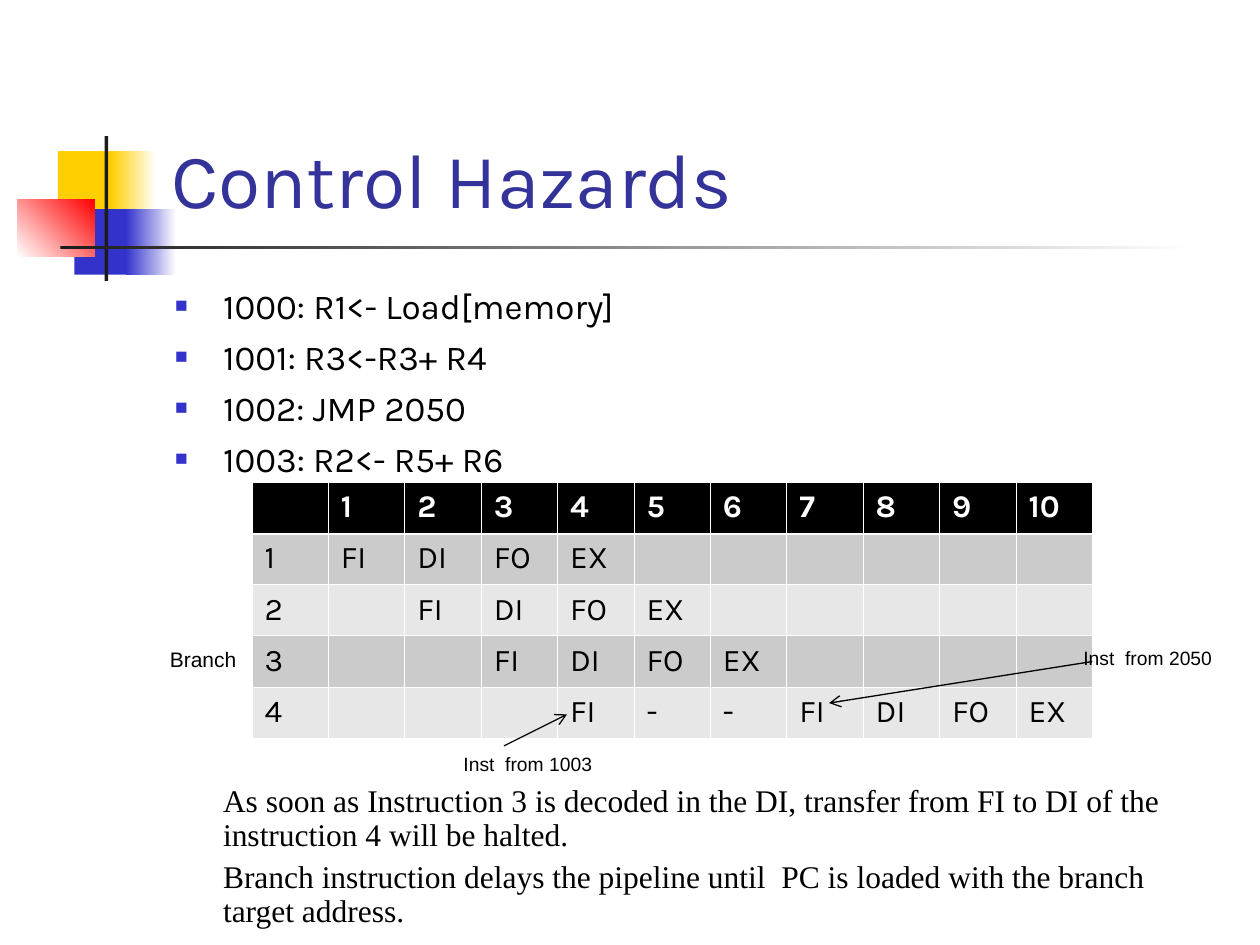
from lxml import etree
from pptx import Presentation
from pptx.dml.color import RGBColor
from pptx.enum.shapes import MSO_CONNECTOR, MSO_SHAPE
from pptx.enum.text import MSO_ANCHOR, MSO_AUTO_SIZE, PP_ALIGN
from pptx.oxml.ns import qn
from pptx.util import Inches, Pt

RECTANGLE = MSO_SHAPE.RECTANGLE
STRAIGHT = MSO_CONNECTOR.STRAIGHT
BOTTOM, TOP = MSO_ANCHOR.BOTTOM, MSO_ANCHOR.TOP
NO_AUTOFIT = MSO_AUTO_SIZE.NONE
LEFT = PP_ALIGN.LEFT

COLORS = {
    "yellow": "FFCF01", "blue": "3333CC", "red": "FF0000", "dark": "1C1C1C",
    "title": "333399", "white": "FFFFFF", "black": "000000",
    "odd_row": "CBCBCB", "even_row": "E7E7E7",
}
HEADING_FONT, NOTE_FONT, LABEL_FONT = "Karla", "Times New Roman", "Arial"

TITLE = "Control Hazards"
INSTRUCTIONS = [
    "1000: R1<- Load[memory]",
    "1001: R3<-R3+ R4",
    "1002: JMP 2050",
    "1003: R2<- R5+ R6",
]
NOTES = [
    "As soon as Instruction 3 is decoded in the DI, transfer from FI to DI of the instruction 4 will be halted.",
    "Branch instruction delays the pipeline until  PC is loaded with the branch target address.",
]
CYCLES = 10
STAGES = ["FI", "DI", "FO", "EX"]
PIPELINE = [
    (1, STAGES),
    (2, STAGES),
    (3, STAGES),
    (4, ["FI", "-", "-"] + STAGES),
]
LABELS = [
    ("Branch", 12, (1.25, 5.08, 0.83, 0.3)),
    ("Inst  from 2050", 11, (8.5, 5.08, 1.25, 0.29)),
    ("Inst  from 1003", 11, (3.58, 5.92, 1.25, 0.29)),
]
ARROWS = [((8.67, 5.25), (6.58, 5.58)), ((4, 5.92), (4.5, 5.67))]
DECORATION = [
    ((0.46, 1.2, 0.48, 0.52), ["yellow"], 0),
    ((0.88, 1.2, 0.36, 0.52), ["yellow", "white"], 0),
    ((0.59, 1.66, 0.46, 0.52), ["blue"], 0),
    ((1, 1.66, 0.4, 0.52), ["blue", "white"], 0),
    ((0.14, 1.58, 0.61, 0.46), ["white", "red"], 45),
    ((0.83, 1.08, 0.03, 1.15), ["dark"], 0),
    ((0.48, 1.95, 9, 0.03), ["dark", "white"], 0),
]


def color(name):
    return RGBColor.from_string(COLORS[name])


def place(shape, box):
    shape.left, shape.top, shape.width, shape.height = map(Inches, box)


def style(paragraph, font_name, size, color_name, bold=False):
    paragraph.alignment = LEFT
    for run in paragraph.runs:
        run.font.name = font_name
        run.font.size = Pt(size)
        run.font.bold = bold
        run.font.color.rgb = color(color_name)


def add_child(parent, tag, **attributes):
    return etree.SubElement(parent, qn(tag), attributes)


def set_bullet(paragraph, character):
    properties = paragraph._p.get_or_add_pPr()
    properties.set("marL", str(Inches(0.38)))
    properties.set("indent", str(Inches(-0.38) if character else 0))
    if character:
        bullet_color = add_child(properties, "a:buClr")
        add_child(bullet_color, "a:srgbClr", val=COLORS["blue"])
        add_child(properties, "a:buSzPct", val="60000")
        add_child(properties, "a:buFont", typeface=LABEL_FONT)
        add_child(properties, "a:buChar", char=character)
    else:
        add_child(properties, "a:buNone")


def set_borders(cell, row):
    properties = cell._tc.get_or_add_tcPr()
    thick_side = {0: "a:lnB", 1: "a:lnT"}.get(row)
    for side in ("a:lnL", "a:lnR", "a:lnT", "a:lnB"):
        width = Pt(1.5 if side == thick_side else 0.5)
        line = add_child(properties, side, w=str(width))
        add_child(add_child(line, "a:solidFill"), "a:srgbClr", val=COLORS["white"])


presentation = Presentation()
presentation.slide_width, presentation.slide_height = Inches(10), Inches(7.5)
slide = presentation.slides.add_slide(presentation.slide_layouts[1])
shapes = slide.shapes
title, body = shapes.title, slide.placeholders[1]

for box, names, angle in DECORATION:
    block = shapes.add_shape(RECTANGLE, *map(Inches, box))
    block.shadow.inherit = False
    block.line.fill.background()
    if len(names) == 1:
        block.fill.solid()
        block.fill.fore_color.rgb = color(names[0])
    else:
        block.fill.gradient()
        block.fill.gradient_angle = angle
        for stop, name in zip(block.fill.gradient_stops, names):
            stop.color.rgb = color(name)

for placeholder in (title, body):
    shapes._spTree.append(placeholder._element)

place(title, (1.26, 0.23, 8.52, 1.6))
title.text_frame.text = TITLE
title.text_frame.vertical_anchor = BOTTOM
title.text_frame.auto_size = NO_AUTOFIT
style(title.text_frame.paragraphs[0], HEADING_FONT, 44, "title")

place(body, (1.29, 2.21, 8.5, 5.29))
frame = body.text_frame
frame.text = "\n".join(INSTRUCTIONS + NOTES)
frame.vertical_anchor = TOP
frame.auto_size = NO_AUTOFIT
for index, paragraph in enumerate(frame.paragraphs):
    if index < len(INSTRUCTIONS):
        style(paragraph, HEADING_FONT, 20, "black")
        paragraph.space_before = Pt(5)
        set_bullet(paragraph, "■")
    else:
        style(paragraph, NOTE_FONT, 18, "black")
        paragraph.line_spacing = 0.9
        paragraph.space_before = Pt(175 if index == len(INSTRUCTIONS) else 4.5)
        set_bullet(paragraph, None)

rows = [[""] + [str(cycle + 1) for cycle in range(CYCLES)]]
for start, steps in PIPELINE:
    row = [str(start)] + [""] * (start - 1) + steps
    rows.append(row + [""] * (CYCLES + 1 - len(row)))

table_box = map(Inches, (2, 3.83, 6.67, 2.02))
table = shapes.add_table(len(rows), CYCLES + 1, *table_box).table
for row_index, row in enumerate(rows):
    header = row_index == 0
    fill_name = "black" if header else ("even_row", "odd_row")[row_index % 2]
    for column_index, text in enumerate(row):
        cell = table.cell(row_index, column_index)
        cell.text_frame.text = text
        style(cell.text_frame.paragraphs[0], HEADING_FONT, 18,
              "white" if header else "black", header)
        set_borders(cell, row_index)
        cell.fill.solid()
        cell.fill.fore_color.rgb = color(fill_name)

for text, size, box in LABELS:
    label = shapes.add_textbox(*map(Inches, box))
    label.text_frame.word_wrap = True
    label.text_frame.text = text
    style(label.text_frame.paragraphs[0], LABEL_FONT, size, "black")

for start, end in ARROWS:
    arrow = shapes.add_connector(STRAIGHT, *map(Inches, start + end))
    arrow.line.color.rgb = color("black")
    arrow.line.width = Pt(0.75)
    add_child(arrow.line._get_or_add_ln(), "a:tailEnd", type="arrow")
    add_child(arrow._element.spPr, "a:effectLst")

presentation.save("out.pptx")
